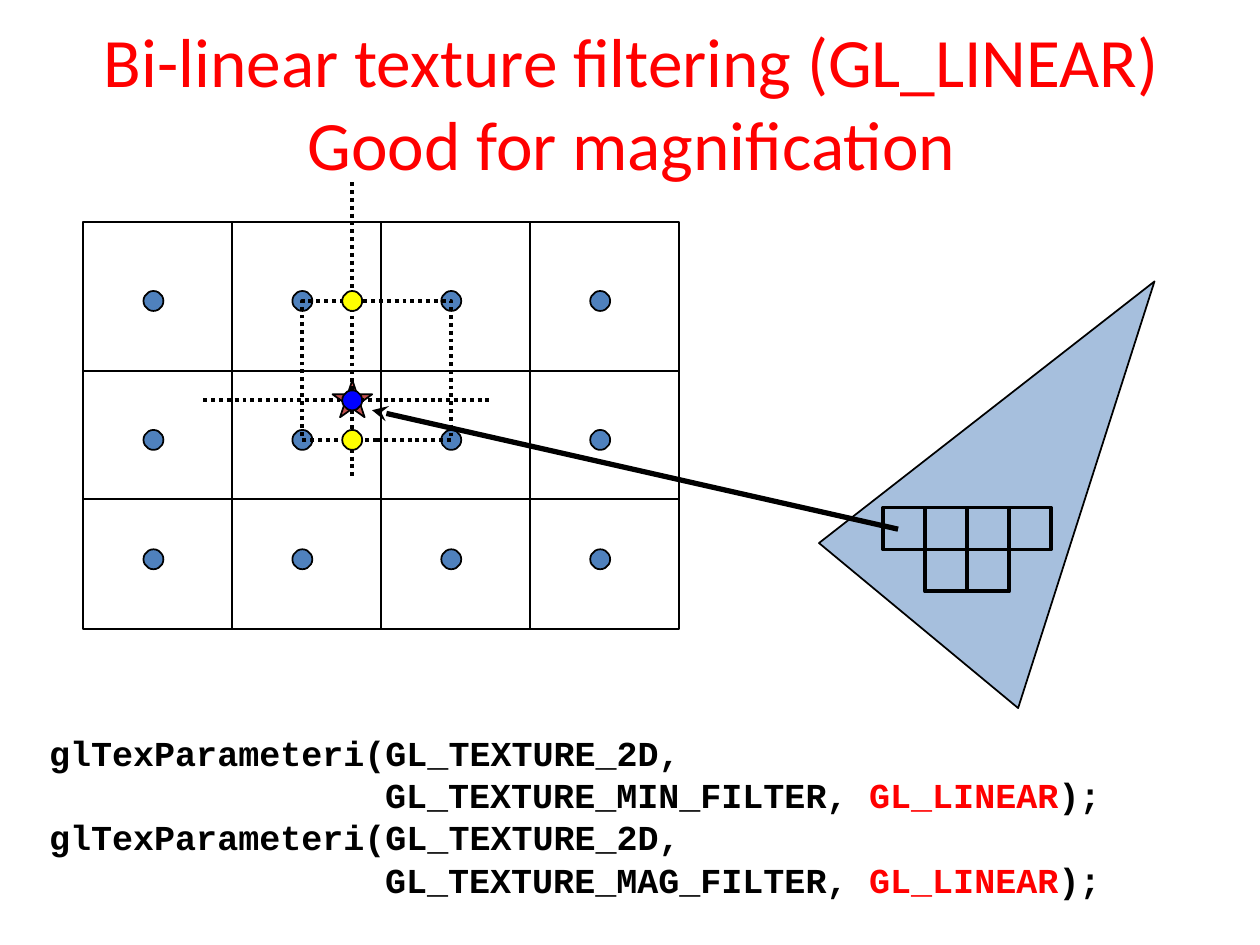
from dataclasses import dataclass
from itertools import product
from typing import Optional

from lxml.etree import SubElement
from pptx import Presentation
from pptx.dml.color import RGBColor
from pptx.enum.dml import MSO_LINE
from pptx.enum.shapes import MSO_CONNECTOR, MSO_SHAPE
from pptx.enum.text import MSO_ANCHOR, MSO_AUTO_SIZE, PP_ALIGN
from pptx.oxml.ns import qn
from pptx.util import Pt

BLACK, RED, YELLOW, BLUE = "000000", "FF0000", "FFFF01", "0000FF"
TEXEL_BLUE, STAR_RED = "4F81BD", "C0504D"

GRID_LEFT, GRID_TOP, GRID_HEIGHT = 47.6, 126.8, 232.5
COLUMN, COLUMNS = 85.1, 4
MIDDLE_TOP, MIDDLE_HEIGHT = 211.8, 73.5
TEXEL_X, TEXEL_ROWS = 87.7, (172, 251.4, 319.6)
SAMPLE_X, SAMPLE_Y = 201.3, 228.8
DOT = 11.4
PIXEL, PIXEL_LEFT, PIXEL_TOP = 24, 504.6, 290
PIXEL_CELLS = ((1, 0), (2, 0), (0, 0), (3, 0), (1, 1), (2, 1))
TRIANGLE = ((581.8, 404.6), (468, 310.3), (659.7, 160.8))
CODE_INDENT = 192  # sixteen Courier New characters at 20 pt


@dataclass
class Box:
    left: float
    top: float
    width: float
    height: float
    kind: MSO_SHAPE = MSO_SHAPE.RECTANGLE
    fill: Optional[str] = None
    weight: float = 1
    dotted: bool = False


@dataclass
class Segment:
    start: tuple[float, float]
    end: tuple[float, float]
    weight: float = 2.25
    dotted: bool = True
    arrow: bool = False


def rgb(value: str) -> RGBColor:
    return RGBColor.from_string(value)


def style_line(line, weight: float, dotted: bool = False) -> None:
    line.color.rgb = rgb(BLACK)
    line.width = Pt(weight)
    if dotted:
        line.dash_style = MSO_LINE.ROUND_DOT  # written to the file as sysDot


def draw_box(slide, box: Box) -> None:
    shape = slide.shapes.add_shape(
        box.kind, Pt(box.left), Pt(box.top), Pt(box.width), Pt(box.height))
    shape.shadow.inherit = False
    style_line(shape.line, box.weight, box.dotted)
    if box.fill:
        shape.fill.solid()
        shape.fill.fore_color.rgb = rgb(box.fill)
    else:
        shape.fill.background()


def dot(x: float, y: float, fill: str) -> Box:
    """Circle centred on a point."""
    return Box(x - DOT / 2, y - DOT / 2, DOT, DOT, MSO_SHAPE.OVAL, fill)


def draw_segment(slide, segment: Segment) -> None:
    connector = slide.shapes.add_connector(
        MSO_CONNECTOR.STRAIGHT,
        *(Pt(value) for value in segment.start + segment.end))
    style_line(connector.line, segment.weight, segment.dotted)
    if segment.arrow:
        SubElement(connector.line._get_or_add_ln(), qn("a:tailEnd"), type="stealth")
    SubElement(connector._element.spPr, qn("a:effectLst"))


def draw_triangle(slide) -> None:
    first, *others = [(Pt(x), Pt(y)) for x, y in TRIANGLE]
    builder = slide.shapes.build_freeform(*first)
    builder.add_line_segments(others, close=True)
    triangle = builder.convert_to_shape()
    triangle.shadow.inherit = False
    triangle.fill.solid()
    triangle.fill.fore_color.rgb = rgb(TEXEL_BLUE)
    colour = triangle._element.spPr.find(qn("a:solidFill"))[0]
    SubElement(colour, qn("a:alpha"), val="50000")
    style_line(triangle.line, 1)


def write_title(slide) -> None:
    title = slide.shapes.title
    title.left, title.top, title.width, title.height = Pt(18), Pt(13), Pt(686), Pt(90)
    frame = title.text_frame
    frame.text = "Bi-linear texture filtering (GL_LINEAR)\vGood for magnification"
    frame.auto_size = MSO_AUTO_SIZE.NONE
    frame.vertical_anchor = MSO_ANCHOR.MIDDLE
    heading = frame.paragraphs[0]
    heading.alignment = PP_ALIGN.CENTER
    heading.font.name, heading.font.size = "Calibri", Pt(39.6)
    heading.font.color.rgb = rgb(RED)


def write_code(slide) -> None:
    code = slide.shapes.add_textbox(Pt(21), Pt(414.7), Pt(697.5), Pt(104.5))
    frame = code.text_frame
    frame.word_wrap = True
    lines = []
    for name in ("MIN", "MAG"):
        lines.append((0, [("glTexParameteri(GL_TEXTURE_2D,", BLACK)]))
        lines.append((CODE_INDENT, [(f"GL_TEXTURE_{name}_FILTER, ", BLACK),
                                    ("GL_LINEAR", RED), (");", BLACK)]))
    for number, (indent, pieces) in enumerate(lines):
        paragraph = frame.add_paragraph() if number else frame.paragraphs[0]
        paragraph.font.name, paragraph.font.size = "Courier New", Pt(20)
        paragraph.font.bold = True
        paragraph._p.get_or_add_pPr().set("marL", str(Pt(indent)))
        for text, colour in pieces:
            run = paragraph.add_run()
            run.text = text
            run.font.color.rgb = rgb(colour)


def main() -> None:
    presentation = Presentation()
    presentation.slide_width, presentation.slide_height = Pt(720), Pt(540)
    slide = presentation.slides.add_slide(presentation.slide_layouts[5])
    write_title(slide)

    columns = [Box(GRID_LEFT + i * COLUMN, GRID_TOP, COLUMN, GRID_HEIGHT)
               for i in range(COLUMNS)]
    middle_row = Box(GRID_LEFT, MIDDLE_TOP, COLUMNS * COLUMN, MIDDLE_HEIGHT)
    texels = [dot(TEXEL_X + i * COLUMN, y, TEXEL_BLUE)
              for y, i in product(TEXEL_ROWS, range(COLUMNS))]
    star = Box(SAMPLE_X - 11.3, 217.2, 22.7, 21.3, MSO_SHAPE.STAR_5_POINT, STAR_RED)
    for box in [*columns, middle_row, *texels, star]:
        draw_box(slide, box)

    write_code(slide)
    draw_triangle(slide)
    for column, row in PIXEL_CELLS:
        draw_box(slide, Box(PIXEL_LEFT + column * PIXEL, PIXEL_TOP + row * PIXEL,
                            PIXEL, PIXEL, weight=2.25))

    for segment in (
        Segment((513.2, 302.4), (212.6, 234.4), weight=3, dotted=False, arrow=True),
        Segment((SAMPLE_X, 104.2), (SAMPLE_X, 274.3)),
        Segment((116.2, SAMPLE_Y), (280.6, SAMPLE_Y)),
    ):
        draw_segment(slide, segment)

    upper, lower = TEXEL_ROWS[:2]
    draw_box(slide, Box(TEXEL_X + COLUMN, upper, COLUMN, lower - upper,
                        weight=2.25, dotted=True))
    for y, fill in ((upper, YELLOW), (lower, YELLOW), (SAMPLE_Y, BLUE)):
        draw_box(slide, dot(SAMPLE_X, y, fill))

    presentation.save("out.pptx")


if __name__ == "__main__":
    main()
